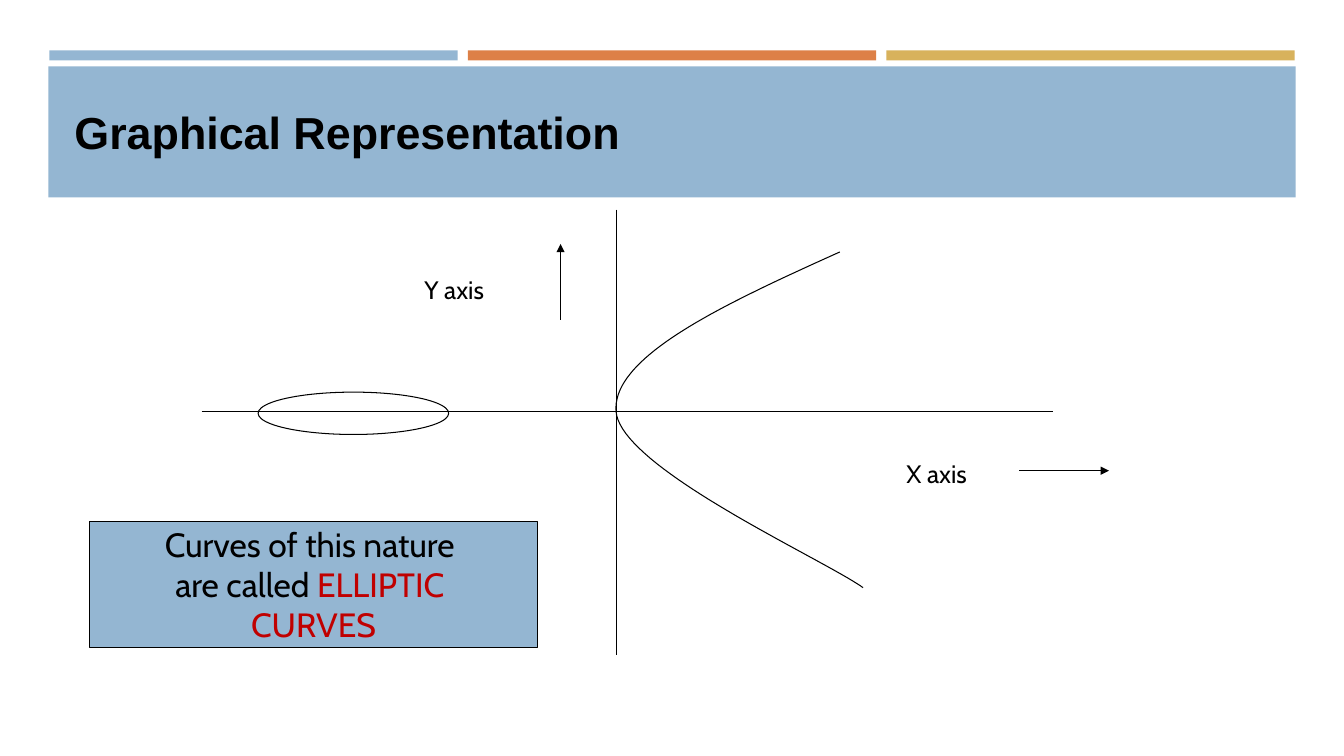
from lxml import etree
from pptx import Presentation
from pptx.dml.color import RGBColor
from pptx.enum.shapes import MSO_CONNECTOR, MSO_SHAPE
from pptx.enum.text import MSO_ANCHOR, PP_ALIGN
from pptx.oxml.ns import qn
from pptx.util import Inches, Pt

RECTANGLE, OVAL = MSO_SHAPE.RECTANGLE, MSO_SHAPE.OVAL
STRAIGHT = MSO_CONNECTOR.STRAIGHT
MIDDLE, CENTER = MSO_ANCHOR.MIDDLE, PP_ALIGN.CENTER
COLORS = {"blue": "94B6D2", "orange": "DD8047", "gold": "D8B25C",
          "black": "000000", "red": "C00000"}
HAIRLINE = Pt(0.75)

prs = Presentation()
prs.slide_width, prs.slide_height = Inches(13.33), Inches(7.5)
slide = prs.slides.add_slide(prs.slide_layouts[6])
shapes = slide.shapes


def style(shape, fill=None, outlined=False):
    shape.shadow.inherit = False
    if fill:
        shape.fill.solid()
        shape.fill.fore_color.rgb = RGBColor.from_string(COLORS[fill])
    else:
        shape.fill.background()
    if outlined:
        shape.line.color.rgb = RGBColor.from_string(COLORS["black"])
        shape.line.width = HAIRLINE
    else:
        shape.line.fill.background()


def set_font(font, name, size, bold=False):
    font.name, font.size, font.bold = name, Pt(size), bold
    font.color.rgb = RGBColor.from_string(COLORS["black"])


# Header strips and title band
for i, color in enumerate(("blue", "orange", "gold")):
    strip = shapes.add_shape(RECTANGLE, Inches(0.49 + 4.15 * i), Inches(0.5),
                             Inches(4.05), Inches(0.1))
    style(strip, color)
band = shapes.add_shape(RECTANGLE, Inches(0.48), Inches(0.66), Inches(12.37), Inches(1.3))
style(band, "blue")

# Title and axis labels
for text, left, top, width, height, font_name, size, bold in (
        ("Graphical Representation", 0.64, 0.75, 12.06, 1.11, "Arial", 32, True),
        ("X axis", 8.89, 4.5, 2.11, 0.4, "Cabin", 18, False),
        ("Y axis", 4.11, 2.67, 1.56, 0.4, "Cabin", 18, False)):
    label = shapes.add_textbox(Inches(left), Inches(top), Inches(width), Inches(height))
    frame = label.text_frame
    frame.word_wrap = True
    frame.vertical_anchor = MIDDLE
    frame.text = text
    set_font(frame.paragraphs[0].font, font_name, size, bold)

# Axes and direction arrows
for x1, y1, x2, y2, has_arrow in (
        (6.11, 2.08, 6.11, 6.5, False),
        (2, 4.08, 10.44, 4.08, False),
        (10.11, 4.67, 11, 4.67, True),
        (5.56, 3.17, 5.56, 2.42, True)):
    axis = shapes.add_connector(STRAIGHT, Inches(x1), Inches(y1), Inches(x2), Inches(y2))
    axis.line.color.rgb = RGBColor.from_string(COLORS["black"])
    axis.line.width = HAIRLINE
    if has_arrow:
        etree.SubElement(axis.line._get_or_add_ln(), qn("a:tailEnd"), type="triangle")
    etree.SubElement(axis._element.spPr, qn("a:effectLst"))

# Closed oval of the curve
oval = shapes.add_shape(OVAL, Inches(2.56), Inches(3.89), Inches(1.89), Inches(0.42))
style(oval, outlined=True)

# Open branch of the curve, sampled from two cubic Bezier segments
STEPS = 40
segments = (((8.33, 2.5), (7.2, 3.01), (6.07, 3.53), (6.11, 4.08)),
            ((6.11, 4.08), (6.15, 4.64), (8.15, 5.54), (8.56, 5.83)))
points = []
for segment in segments:
    for step in range(1, STEPS + 1):
        t = step / STEPS
        weights = ((1 - t) ** 3, 3 * t * (1 - t) ** 2, 3 * t ** 2 * (1 - t), t ** 3)
        points.append(tuple(Inches(sum(w * p[k] for w, p in zip(weights, segment)))
                            for k in (0, 1)))
start_x, start_y = segments[0][0]
builder = shapes.build_freeform(Inches(start_x), Inches(start_y))
builder.add_line_segments(points, close=False)
style(builder.convert_to_shape(), outlined=True)

# Caption box
caption = shapes.add_shape(RECTANGLE, Inches(0.89), Inches(5.17), Inches(4.44), Inches(1.25))
style(caption, "blue", outlined=True)
frame = caption.text_frame
frame.word_wrap = False
frame.vertical_anchor = MIDDLE
caption_lines = ((("Curves of this nature ", "black"),),
                 (("are called ", "black"), ("ELLIPTIC ", "red")),
                 (("CURVES", "red"),))
for i, line in enumerate(caption_lines):
    paragraph = frame.add_paragraph() if i else frame.paragraphs[0]
    paragraph.alignment = CENTER
    set_font(paragraph.font, "Cabin", 24)
    for text, color in line:
        run = paragraph.add_run()
        run.text = text
        run.font.color.rgb = RGBColor.from_string(COLORS[color])

prs.save("out.pptx")
